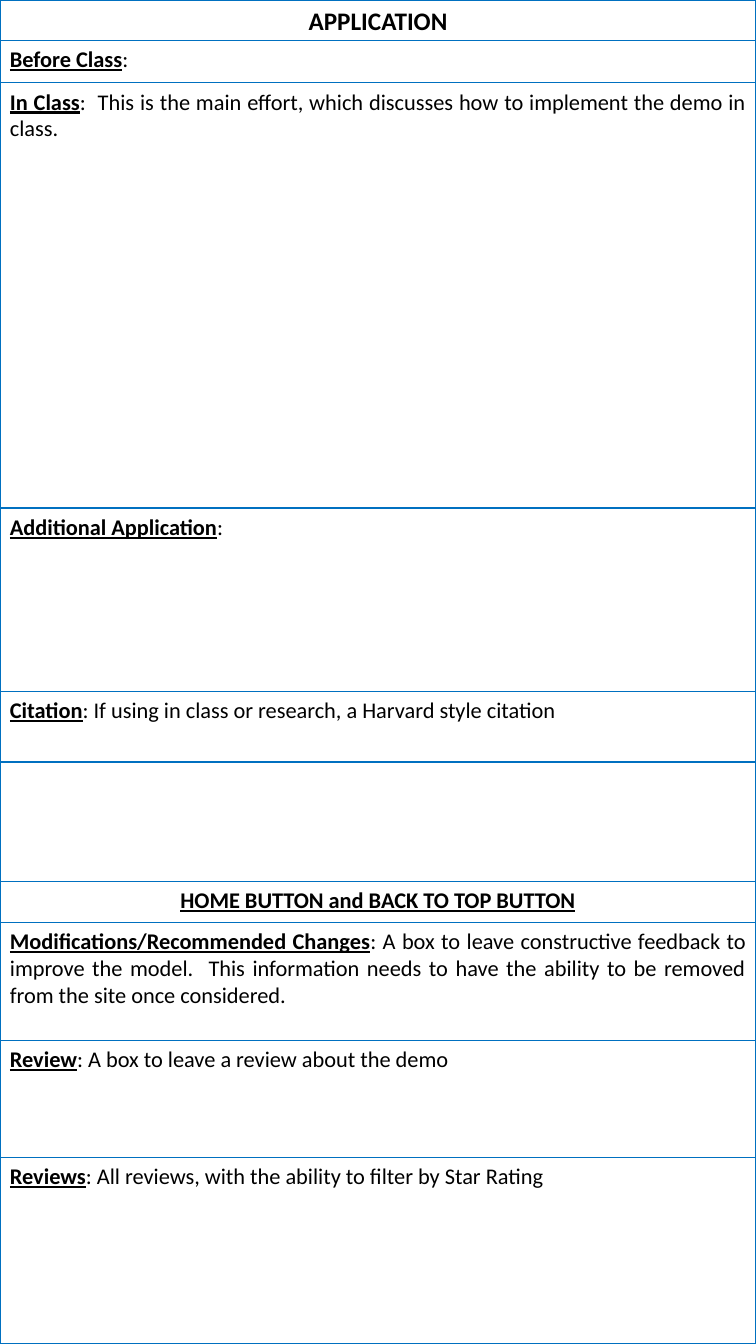
from dataclasses import dataclass

from pptx import Presentation
from pptx.dml.color import RGBColor
from pptx.enum.shapes import MSO_SHAPE
from pptx.enum.text import MSO_ANCHOR, PP_ALIGN
from pptx.util import Inches, Pt


@dataclass(frozen=True)
class Theme:
    """Colours, font and sizes of the slide."""
    ink: RGBColor = RGBColor(0, 0, 0)
    edge: RGBColor = RGBColor(0x00, 0x70, 0xC0)
    font: str = "Calibri"
    head: int = 18
    body: int = 16
    thin: float = 0.75
    rule: float = 1


theme = Theme()
WIDE, HIGH = 7.5, 13.33

deck = Presentation()
deck.slide_width, deck.slide_height = Inches(WIDE), Inches(HIGH)
page = deck.slides.add_slide(deck.slide_layouts[6])


def add_box(top, high, rule=theme.rule):
    """Add an unfilled box across the full slide width."""
    box = page.shapes.add_shape(
        MSO_SHAPE.RECTANGLE, 0, Inches(top), deck.slide_width, Inches(high))
    box.shadow.inherit = False
    box.fill.background()
    box.line.color.rgb = theme.edge
    box.line.width = Pt(rule)
    return box


def add_text(box, label, text="", size=theme.body, line=True,
             align=PP_ALIGN.JUSTIFY, anchor=MSO_ANCHOR.TOP):
    """Write a bold label, then plain text, into a box."""
    frame = box.text_frame
    frame.word_wrap = True
    frame.vertical_anchor = anchor
    para = frame.paragraphs[0]
    para.alignment = align
    for words, bold in ((label, True), (text, False)):
        if words:
            run = para.add_run()
            run.text = words
            run.font.name = theme.font
            run.font.size = Pt(size)
            run.font.color.rgb = theme.ink
            run.font.bold = bold
            run.font.underline = bold and line


# Row height, label, text, format; a row without a label stays open
mid = {"align": PP_ALIGN.CENTER}
title = {"size": theme.head, "line": False, "anchor": MSO_ANCHOR.MIDDLE, **mid}
rows = [
    (0.40, "APPLICATION", "", title),
    (0.42, "Before Class", ":", {}),
    (4.22, "In Class", ":  This is the main effort, which discusses how to "
     "implement the demo in class.", {}),
    (1.82, "Additional Application", ":", {}),
    (0.70, "Citation", ": If using in class or research, a Harvard style "
     "citation", {}),
    (1.18, "", "", {}),
    (0.41, "HOME BUTTON and BACK TO TOP BUTTON", "", mid),
    (1.17, "Modifications/Recommended Changes", ": A box to leave "
     "constructive feedback to improve the model.  This information needs to "
     "have the ability to be removed from the site once considered.", {}),
    (1.16, "Review", ": A box to leave a review about the demo", {}),
    (1.85, "Reviews", ": All reviews, with the ability to filter by Star "
     "Rating", {}),
]

add_box(0, HIGH)
top = 0
for high, label, text, form in rows:
    if label:
        rule = theme.thin if form is title else theme.rule
        add_text(add_box(top, high, rule), label, text, **form)
    top += high

deck.save("out.pptx")
